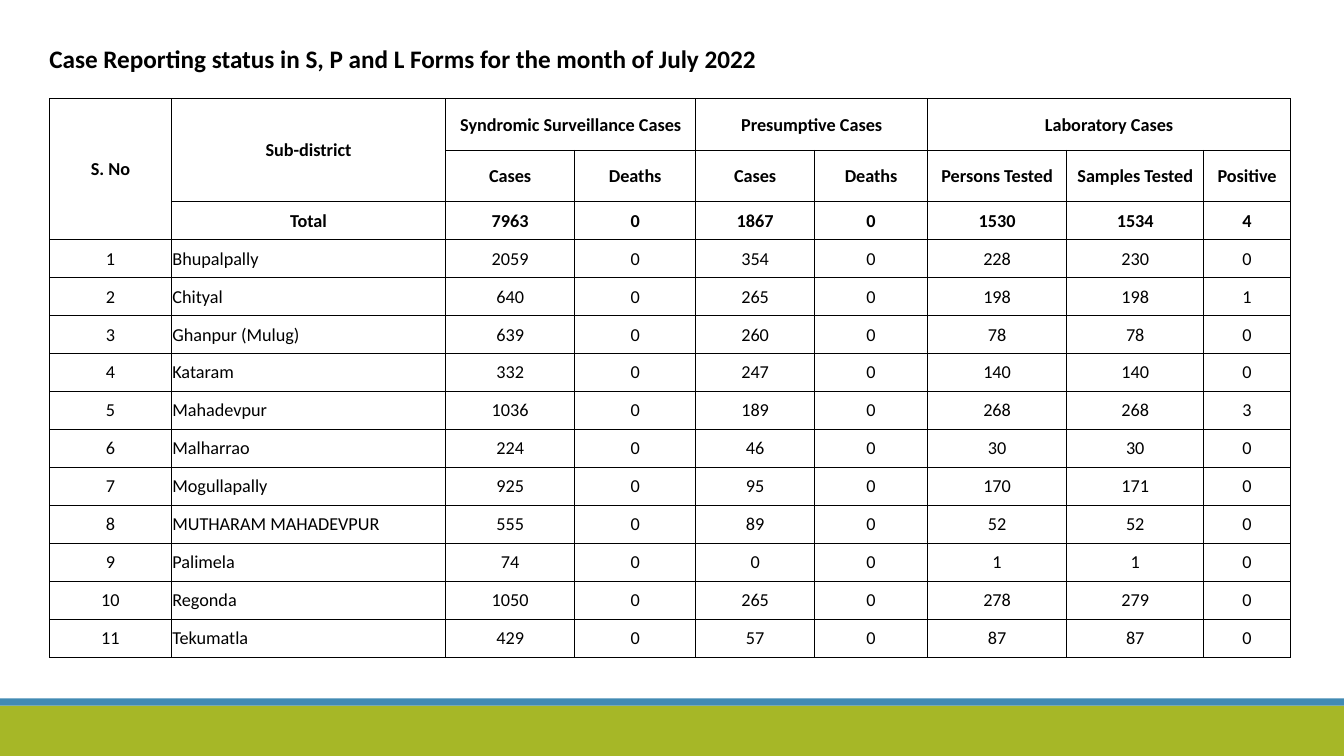
from lxml import etree
from pptx import Presentation
from pptx.dml.color import RGBColor
from pptx.enum import shapes, text
from pptx.oxml import ns
from pptx.util import Inches, Pt

# Content
TITLE = "Case Reporting status in S, P and L Forms for the month of July 2022"
HEADER_ROWS = [
    ["S. No", "Sub-district", "Syndromic Surveillance Cases", "",
     "Presumptive Cases", "", "Laboratory Cases", "", ""],
    ["", "", "Cases", "Deaths", "Cases", "Deaths",
     "Persons Tested", "Samples Tested", "Positive"],
    ["", "Total", 7963, 0, 1867, 0, 1530, 1534, 4],
]
DISTRICTS = [
    ("Bhupalpally", 2059, 0, 354, 0, 228, 230, 0),
    ("Chityal", 640, 0, 265, 0, 198, 198, 1),
    ("Ghanpur (Mulug)", 639, 0, 260, 0, 78, 78, 0),
    ("Kataram", 332, 0, 247, 0, 140, 140, 0),
    ("Mahadevpur", 1036, 0, 189, 0, 268, 268, 3),
    ("Malharrao", 224, 0, 46, 0, 30, 30, 0),
    ("Mogullapally", 925, 0, 95, 0, 170, 171, 0),
    ("MUTHARAM MAHADEVPUR", 555, 0, 89, 0, 52, 52, 0),
    ("Palimela", 74, 0, 0, 0, 1, 1, 0),
    ("Regonda", 1050, 0, 265, 0, 278, 279, 0),
    ("Tekumatla", 429, 0, 57, 0, 87, 87, 0),
]
# First row, first column, last row, last column
MERGES = [(0, 0, 2, 0), (0, 1, 1, 1), (0, 2, 0, 3), (0, 4, 0, 5), (0, 6, 0, 8)]

# Layout and style
SLIDE_WIDTH, SLIDE_HEIGHT = 13.33, 7.5
FOOTER_BANDS = [(7, 0.5, "A6B727"), (6.93, 0.07, "418AB3")]
TABLE_LEFT, TABLE_TOP, TABLE_HEIGHT = 0.49, 0.98, 5.54
COLUMN_WIDTHS = [1.21, 2.72, 1.28, 1.2, 1.18, 1.12, 1.38, 1.36, 0.86]
HEADING_HEIGHT, HEADING_COUNT = 0.51, 2
FONT, BLACK = "Calibri", "000000"


def color(value):
    return RGBColor.from_string(value)


def style(paragraph, size, bold):
    paragraph.font.name = FONT
    paragraph.font.size = Pt(size)
    paragraph.font.bold = bold
    paragraph.font.color.rgb = color(BLACK)


def add_borders(cell):
    properties = cell._tc.get_or_add_tcPr()
    for side in ("a:lnL", "a:lnR", "a:lnT", "a:lnB"):
        line = etree.SubElement(properties, ns.qn(side), w=str(Pt(0.5)))
        fill = etree.SubElement(line, ns.qn("a:solidFill"))
        etree.SubElement(fill, ns.qn("a:srgbClr"), val=BLACK)


def fill_cell(cell, value, bold, alignment):
    cell.margin_left = cell.margin_right = cell.margin_top = Inches(0.01)
    cell.margin_bottom = 0
    cell.vertical_anchor = text.MSO_ANCHOR.MIDDLE
    add_borders(cell)
    cell.fill.background()
    paragraph = cell.text_frame.paragraphs[0]
    paragraph.text = str(value)
    paragraph.alignment = alignment
    style(paragraph, 13, bold)


def add_footer(slide):
    for top, height, fill in FOOTER_BANDS:
        band = slide.shapes.add_shape(
            shapes.MSO_SHAPE.RECTANGLE, 0, Inches(top),
            Inches(SLIDE_WIDTH), Inches(height))
        band.shadow.inherit = False
        band.fill.solid()
        band.fill.fore_color.rgb = color(fill)
        band.line.fill.background()


def add_title(slide):
    box = slide.shapes.add_textbox(
        Inches(0.39), Inches(0.38), Inches(8.91), Inches(0.4))
    box.text_frame.word_wrap = True
    paragraph = box.text_frame.paragraphs[0]
    paragraph.text = TITLE
    style(paragraph, 18, True)


def add_case_table(slide):
    rows = HEADER_ROWS + [[number, *district]
                          for number, district in enumerate(DISTRICTS, 1)]
    table = slide.shapes.add_table(
        len(rows), len(COLUMN_WIDTHS), Inches(TABLE_LEFT), Inches(TABLE_TOP),
        Inches(sum(COLUMN_WIDTHS)), Inches(TABLE_HEIGHT)).table
    table.first_row = table.horz_banding = False
    for column, width in zip(table.columns, COLUMN_WIDTHS):
        column.width = Inches(width)

    # The rows below the two heading rows share the remaining height
    body_height = ((TABLE_HEIGHT - HEADING_COUNT * HEADING_HEIGHT)
                   / (len(rows) - HEADING_COUNT))
    for r, values in enumerate(rows):
        table.rows[r].height = Inches(
            HEADING_HEIGHT if r < HEADING_COUNT else body_height)
        is_header = r < len(HEADER_ROWS)
        for c, value in enumerate(values):
            is_name = c == 1 and not is_header
            alignment = text.PP_ALIGN.LEFT if is_name else text.PP_ALIGN.CENTER
            fill_cell(table.cell(r, c), value, is_header, alignment)
    for top, left, bottom, right in MERGES:
        table.cell(top, left).merge(table.cell(bottom, right))


def main():
    presentation = Presentation()
    presentation.slide_width = Inches(SLIDE_WIDTH)
    presentation.slide_height = Inches(SLIDE_HEIGHT)
    slide = presentation.slides.add_slide(presentation.slide_layouts[6])
    add_footer(slide)
    add_title(slide)
    add_case_table(slide)
    presentation.save("out.pptx")


if __name__ == "__main__":
    main()
